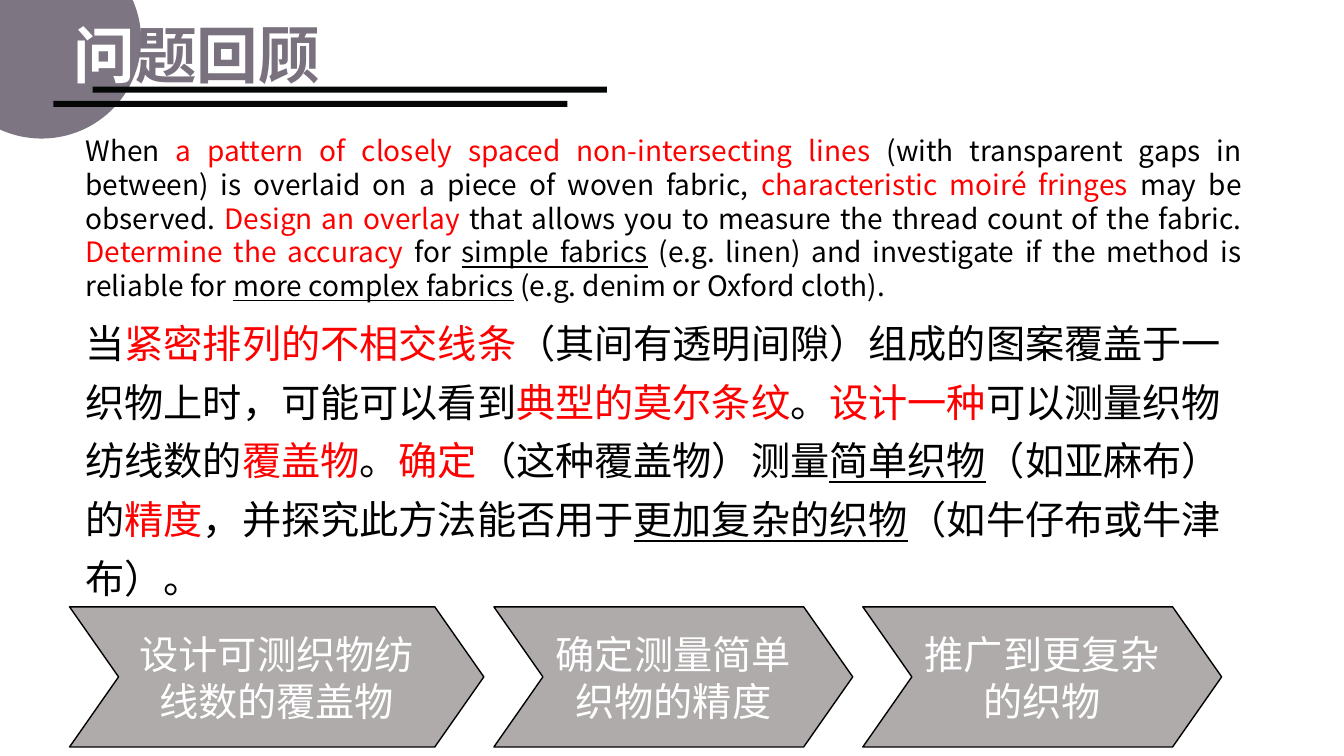
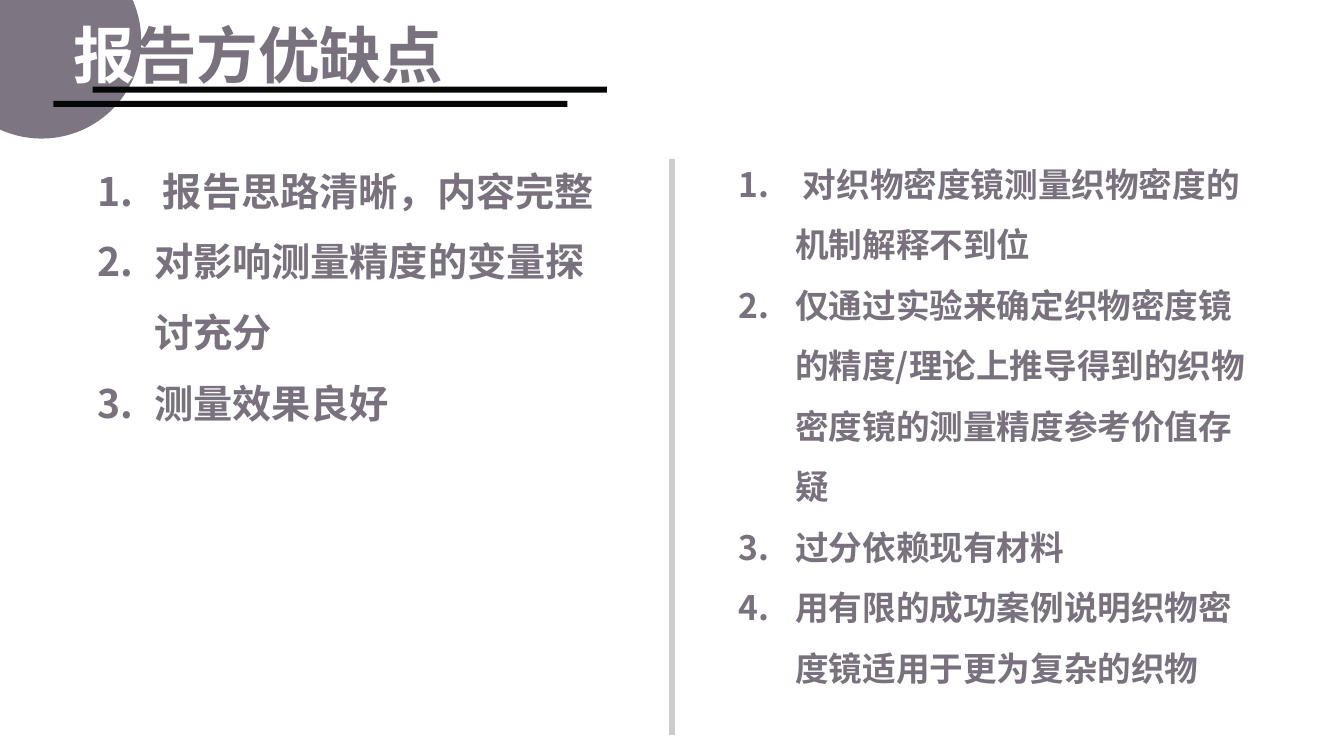
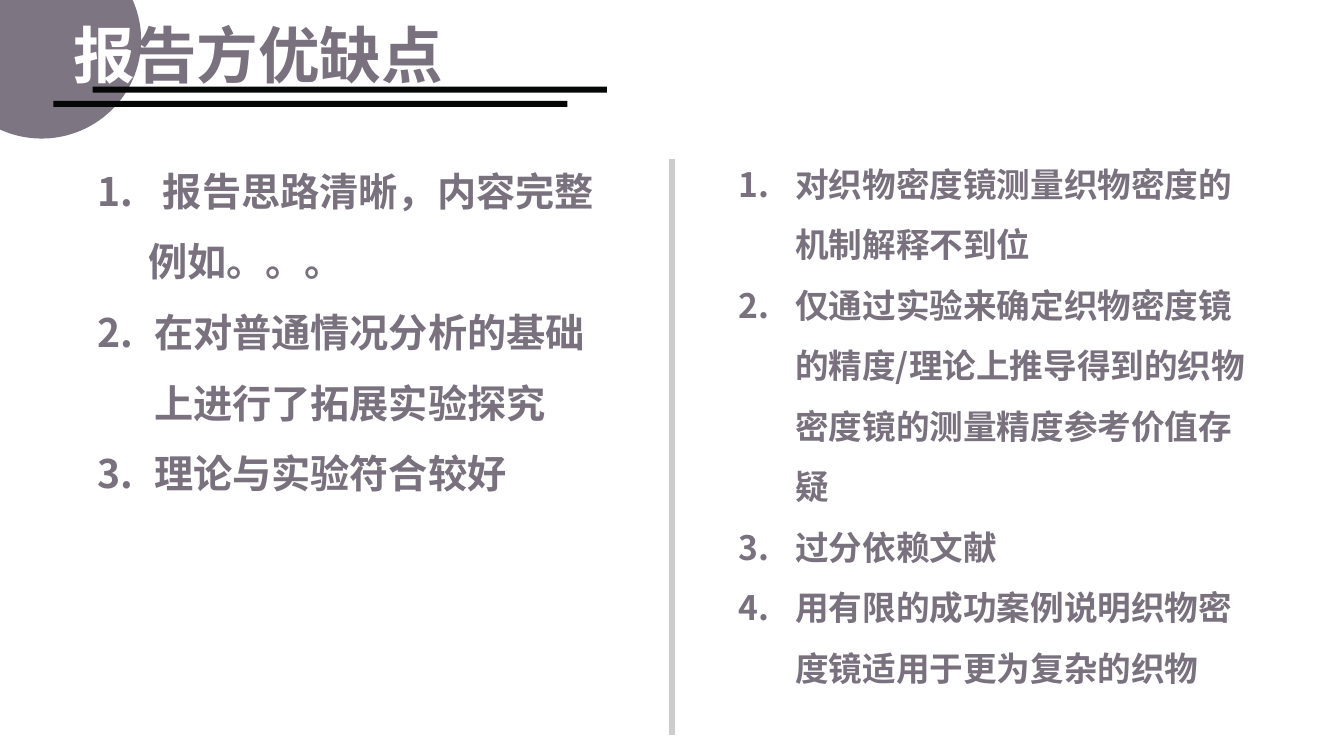
"""Build three slides that review a moiré fabric problem and assess the report on it."""
from dataclasses import dataclass

from lxml.etree import SubElement
from pptx import Presentation
from pptx.dml.color import RGBColor
from pptx.enum.shapes import MSO_CONNECTOR as CONNECTOR, MSO_SHAPE as SHAPE
from pptx.enum.text import MSO_ANCHOR as ANCHOR, MSO_AUTO_SIZE as AUTO_SIZE, PP_ALIGN as ALIGN
from pptx.oxml.ns import qn
from pptx.util import Emu, Inches, Pt


@dataclass(frozen=True)
class Theme:
    circle: str = "7D7582"
    heading: str = "79717E"
    bar: str = "050707"
    chevron: str = "AFABAB"
    divider: str = "CCCCCC"
    white: str = "FFFFFF"
    black: str = "000000"
    key: str = "FF0000"
    font: str = "Noto Sans CJK SC"
    step_font: str = "Calibri"
    title_size: int = 44
    large: int = 28
    medium: int = 24
    small: int = 20


theme = Theme()
presentation = Presentation()
presentation.slide_width, presentation.slide_height = Inches(13.33), Inches(7.5)
column, row = presentation.slide_width / 160, presentation.slide_height / 90


def place(left, top, width, height):
    """Turn grid columns and rows into slide lengths."""
    return Emu(int(left * column)), Emu(int(top * row)), Emu(int(width * column)), Emu(int(height * row))


def write(paragraph, runs, size, color=theme.black, font=theme.font, bold=False,
          align=None, spacing=None, numbered=False, indent=0):
    """Write a string, or (text, colour, underline) runs, into a paragraph."""
    paragraph.alignment = align
    paragraph.line_spacing = spacing
    properties = paragraph._p.get_or_add_pPr()
    if numbered:
        properties.set("marL", str(Inches(0.56)))
        properties.set("indent", str(-Inches(0.56)))
        SubElement(properties, qn("a:buAutoNum"), type="arabicPeriod")
    elif indent:
        paragraph.level = 1
        properties.set("marL", str(Inches(indent)))
        properties.set("indent", "0")
    for text, run_color, underline in [(runs, color, False)] if isinstance(runs, str) else runs:
        run = paragraph.add_run()
        run.text = text
        run.font.size, run.font.bold, run.font.name = Pt(size), bold, font
        run.font.underline = underline or None
        run.font.color.rgb = RGBColor.from_string(run_color)
        SubElement(run._r.get_or_add_rPr(), qn("a:ea"), typeface=font)


black, key = theme.black, theme.key
statements = [
    ((9, 15.36, 140, 21.36), theme.small, ALIGN.JUSTIFY, None, [
        ("When ", black, False),
        ("a pattern of closely spaced non-intersecting lines", key, False),
        (" (with transparent gaps in between) is overlaid on a piece of woven fabric, ", black, False),
        ("characteristic moiré fringes", key, False),
        (" may be observed. ", black, False),
        ("Design an overlay", key, False),
        (" that allows you to measure the thread count of the fabric. ", black, False),
        ("Determine the accuracy", key, False),
        (" for ", black, False),
        ("simple fabrics", black, True),
        (" (e.g. linen) and investigate if the method is reliable for ", black, False),
        ("more complex fabrics", black, True),
        (" (e.g. denim or Oxford cloth).", black, False),
    ]),
    ((9, 36, 140, 36), theme.large, None, 1.25, [
        ("当", black, False),
        ("紧密排列的不相交线条", key, False),
        ("（其间有透明间隙）组成的图案覆盖于一织物上时，可能可以看到", black, False),
        ("典型的莫尔条纹", key, False),
        ("。", black, False),
        ("设计一种", key, False),
        ("可以测量织物纺线数的", black, False),
        ("覆盖物", key, False),
        ("。", black, False),
        ("确定", key, False),
        ("（这种覆盖物）测量", black, False),
        ("简单织物", black, True),
        ("（如亚麻布）的", black, False),
        ("精度", key, False),
        ("，并探究此方法能否用于", black, False),
        ("更加复杂的织物", black, True),
        ("（如牛仔布或牛津布）。", black, False),
    ]),
]
steps = [("设计可测织物纺线数的覆盖物", 49.32), ("确定测量简单织物的精度", 42.72), ("推广到更复杂的织物", 42.72)]
mechanism = "对织物密度镜测量织物密度的机制解释不到位"
accuracy = "仅通过实验来确定织物密度镜的精度/理论上推导得到的织物密度镜的测量精度参考价值存疑"
cases = "用有限的成功案例说明织物密度镜适用于更为复杂的织物"
clarity = " 报告思路清晰，内容完整"
example = "例如。。。"
pages = [
    ("问题回顾", 32.04, None),
    ("报告方优缺点", 46.8, (
        [clarity, "对影响测量精度的变量探讨充分", "测量效果良好"],
        [" " + mechanism, accuracy, "过分依赖现有材料", cases])),
    ("报告方优缺点", 46.8, (
        [clarity, example, "在对普通情况分析的基础上进行了拓展实验探究", "理论与实验符合较好"],
        [mechanism, accuracy, "过分依赖文献", cases])),
]

for title, title_width, review in pages:
    slide = presentation.slides.add_slide(presentation.slide_layouts[6])
    for kind, box, color in [
        (SHAPE.OVAL, (-6.9, -7, 23.7, 23.5), theme.circle),
        (SHAPE.RECTANGLE, (11.04, 10.32, 61.2, 0.72), theme.bar),
        (SHAPE.RECTANGLE, (6.36, 12, 61.2, 0.72), theme.bar),
    ]:
        shape = slide.shapes.add_shape(kind, *place(*box))
        shape.shadow.inherit = False
        shape.fill.solid()
        shape.fill.fore_color.rgb = RGBColor.from_string(color)
        shape.line.fill.background()

    frame = slide.shapes.add_textbox(*place(7.56, -4.44, title_width, 14.04)).text_frame
    frame.word_wrap, frame.auto_size = False, AUTO_SIZE.SHAPE_TO_FIT_TEXT
    write(frame.paragraphs[0], [(title[0], theme.white, False), (title[1:], theme.heading, False)],
          theme.title_size, bold=True, spacing=Pt(88))

    if review:
        divider = slide.shapes.add_connector(CONNECTOR.STRAIGHT, *place(80, 18.96, 80, 87.48))
        divider.line.color.rgb = RGBColor.from_string(theme.divider)
        divider.line.width = Pt(4.5)
        SubElement(divider._element.spPr, qn("a:effectLst"))
        for points, left, height, size in zip(review, (10.44, 86.76), (36, 65.76), (theme.large, theme.medium)):
            frame = slide.shapes.add_textbox(*place(left, 16.5, 64.68, height)).text_frame
            frame.word_wrap, frame.auto_size = True, AUTO_SIZE.SHAPE_TO_FIT_TEXT
            for index, point in enumerate(points):
                paragraph = frame.add_paragraph() if index else frame.paragraphs[0]
                write(paragraph, point, size, color=theme.heading, bold=True, spacing=1.5,
                      numbered=point != example, indent=0.5)
        continue

    for box, size, align, spacing, runs in statements:
        frame = slide.shapes.add_textbox(*place(*box)).text_frame
        frame.word_wrap, frame.auto_size = True, AUTO_SIZE.SHAPE_TO_FIT_TEXT
        write(frame.paragraphs[0], runs, size, align=align, spacing=spacing)

    left = 8.28
    for step, width in steps:
        chevron = slide.shapes.add_shape(SHAPE.CHEVRON, *place(left, 72.24, width, 16.68))
        chevron.adjustments[0] = 0.35
        chevron.shadow.inherit = False
        chevron.fill.solid()
        chevron.fill.fore_color.rgb = RGBColor.from_string(theme.chevron)
        chevron.line.color.rgb = RGBColor.from_string(theme.black)
        chevron.line.width = Pt(1)
        chevron.text_frame.word_wrap = True
        chevron.text_frame.vertical_anchor = ANCHOR.MIDDLE
        write(chevron.text_frame.paragraphs[0], step, theme.large, color=theme.white,
              font=theme.step_font, align=ALIGN.CENTER)
        left += width + 1.2

presentation.save("out.pptx")
